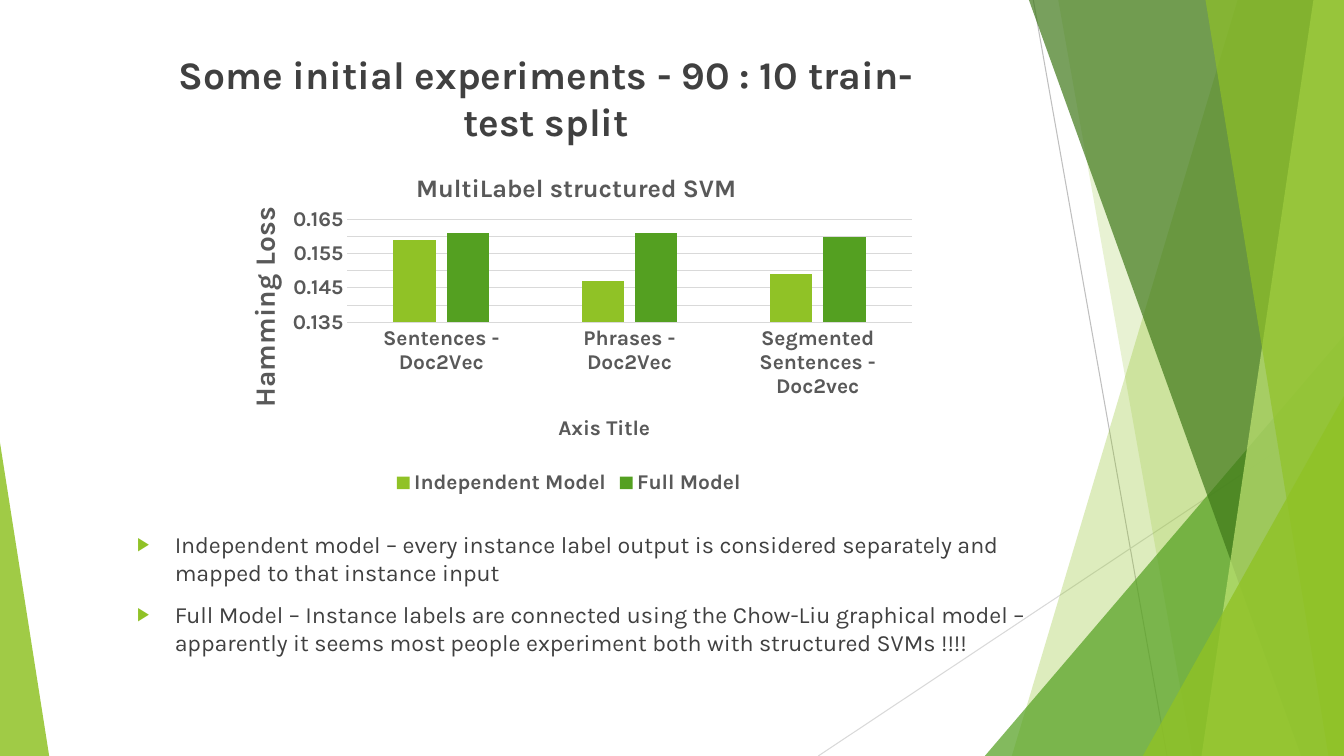
import dataclasses

import lxml.etree
import pptx
import pptx.chart.data
import pptx.dml.color
import pptx.enum.chart
import pptx.enum.shapes
import pptx.enum.text
import pptx.oxml
import pptx.oxml.ns
import pptx.util

Cm = pptx.util.Cm
Pt = pptx.util.Pt
qn = pptx.oxml.ns.qn


@dataclasses.dataclass(frozen=True)
class Theme:
    font: str = "Karla"
    text: str = "404040"
    chart_text: str = "595959"
    grid: str = "D9D9D9"
    ray: str = "BFBFBF"
    lime: str = "90C226"
    green: str = "54A021"
    forest: str = "3F7819"
    pale: str = "C0E474"
    title_size: float = 27.8
    body_size: float = 16.6
    chart_title_size: float = 18
    value_title_size: float = 20
    chart_size: float = 15


THEME = Theme()
WIDTH, HEIGHT = 33.87, 19.05  # slide size in centimetres

TITLE = "Some initial experiments - 90 : 10 train-test split"
POINTS = [
    "Independent model – every instance label output is considered separately "
    "and mapped to that instance input",
    "Full Model – Instance labels are connected using the Chow-Liu graphical model – "
    "apparently it seems most people experiment both with structured SVMs !!!!",
]
CATEGORIES = ["Sentences - Doc2Vec", "Phrases - Doc2Vec", "Segmented Sentences - Doc2vec"]
SERIES = [
    ("Independent Model", (0.159, 0.147, 0.149), THEME.lime),
    ("Full Model", (0.161, 0.161, 0.16), THEME.green),
]


# Formatting helpers
def rgb(color):
    return pptx.dml.color.RGBColor.from_string(color)


def apply_format(target, values):
    for name, value in values.items():
        setattr(target, name, value)


def format_font(font, size, color, bold):
    apply_format(font, {"name": THEME.font, "size": Pt(size), "bold": bold})
    font.color.rgb = rgb(color)


def place(shape, box):
    apply_format(shape, dict(zip(("left", "top", "width", "height"), map(Cm, box))))


def add_child(parent, tag, **attributes):
    child = lxml.etree.SubElement(parent, qn(tag))
    for name, value in attributes.items():
        child.set(name, str(value))
    return child


def paint(shape, color, opacity):
    shape.shadow.inherit = False
    shape.fill.solid()
    shape.fill.fore_color.rgb = rgb(color)
    shape.line.fill.background()
    color_element = shape.fill._xPr.find(".//" + qn("a:srgbClr"))
    add_child(color_element, "a:alpha", val=opacity * 1000)


# Background facets
def add_ray(slide, ends, color):
    ray = slide.shapes.add_connector(
        pptx.enum.shapes.MSO_CONNECTOR.STRAIGHT, *map(Cm, ends))
    ray.line.width = Pt(0.75)
    ray.line.color.rgb = rgb(color)
    add_child(ray._element.spPr, "a:effectLst")


def add_band(slide, top_x, bottom_x, color, opacity):
    """Fill from a slanted left edge to the right edge of the slide."""
    builder = slide.shapes.build_freeform(Cm(top_x), 0)
    corners = [(WIDTH, 0), (WIDTH, HEIGHT), (bottom_x, HEIGHT)]
    builder.add_line_segments([(Cm(x), Cm(y)) for x, y in corners])
    paint(builder.convert_to_shape(), color, opacity)


def add_corner(slide, left, right, top, apex, color, opacity):
    """Triangle standing on the bottom edge of the slide."""
    corner = slide.shapes.add_shape(
        pptx.enum.shapes.MSO_SHAPE.ISOSCELES_TRIANGLE,
        *map(Cm, (left, top, right - left, HEIGHT - top)))
    corner.adjustments[0] = apex
    paint(corner, color, opacity)


def add_background(slide):
    add_ray(slide, (26.04, 0, 29.41, HEIGHT), THEME.ray)
    add_ray(slide, (WIDTH, 10.24, 20.62, HEIGHT), THEME.grid)
    add_band(slide, 31.19, 25.5, THEME.lime, 30)
    add_band(slide, 26.67, 30.05, THEME.lime, 20)
    add_corner(slide, 24.82, WIDTH, 8.46, 1, THEME.green, 72)
    add_band(slide, 25.93, 32.79, THEME.forest, 70)
    add_band(slide, 33.1, 30.28, THEME.pale, 70)
    add_band(slide, 30.38, 33.48, THEME.lime, 65)
    add_corner(slide, 28.8, WIDTH, 9.98, 1, THEME.lime, 80)
    add_corner(slide, 0, 1.24, 11.15, 0, THEME.lime, 85)


# Chart
def set_layout(element, index, **fractions):
    for old in element.findall(qn("c:layout")):
        element.remove(old)
    layout = lxml.etree.Element(qn("c:layout"))
    manual = add_child(layout, "c:manualLayout")
    if "w" in fractions:
        add_child(manual, "c:layoutTarget", val="inner")
    for name in ("x", "y"):
        add_child(manual, f"c:{name}Mode", val="edge")
    for name, value in fractions.items():
        add_child(manual, f"c:{name}", val=value)
    element.insert(index, layout)


def write_chart_title(title, text, size, x, y):
    title.text_frame.text = text
    format_font(title.text_frame.paragraphs[0].runs[0].font, size, THEME.chart_text, True)
    set_layout(title._element, 1, x=x, y=y)


def add_loss_chart(slide, box):
    data = pptx.chart.data.CategoryChartData()
    data.categories = CATEGORIES
    for name, values, _ in SERIES:
        data.add_series(name, values)
    chart = slide.shapes.add_chart(
        pptx.enum.chart.XL_CHART_TYPE.COLUMN_CLUSTERED, *map(Cm, box), data).chart
    format_font(chart.font, THEME.chart_size, THEME.chart_text, True)
    chart.has_title = True
    write_chart_title(chart.chart_title, "MultiLabel structured SVM",
                      THEME.chart_title_size, 0.28, 0.06)

    # Columns
    plot = chart.plots[0]
    apply_format(plot, {"gap_width": 219, "overlap": -27, "vary_by_categories": False})
    for series, (_, _, color) in zip(plot.series, SERIES):
        series.format.fill.solid()
        series.format.fill.fore_color.rgb = rgb(color)
    plot_area = chart._chartSpace.find(".//" + qn("c:plotArea"))
    set_layout(plot_area, 0, x=0.19, y=0.21, w=0.79, h=0.29)

    # Axes
    no_tick = pptx.enum.chart.XL_TICK_MARK.NONE
    for axis in (chart.category_axis, chart.value_axis):
        apply_format(axis, {"major_tick_mark": no_tick, "minor_tick_mark": no_tick})
        format_font(axis.tick_labels.font, THEME.chart_size, THEME.chart_text, True)
    value_axis = chart.value_axis
    apply_format(value_axis, {"minimum_scale": 0.135, "maximum_scale": 0.165,
                              "major_unit": 0.005, "has_major_gridlines": True})
    value_axis.format.line.fill.background()
    for line in (chart.category_axis.format.line, value_axis.major_gridlines.format.line):
        line.width = Pt(0.75)
        line.color.rgb = rgb(THEME.grid)
    write_chart_title(chart.category_axis.axis_title, "Axis Title",
                      THEME.chart_size, 0.48, 0.75)
    write_chart_title(value_axis.axis_title, "Hamming Loss",
                      THEME.value_title_size, 0.04, 0.16)
    body = value_axis.axis_title._element.find(".//" + qn("a:bodyPr"))
    apply_rotation = {"rot": "-5400000", "vert": "horz"}
    for name, value in apply_rotation.items():
        body.set(name, value)

    # Legend
    chart.has_legend = True
    apply_format(chart.legend, {"position": pptx.enum.chart.XL_LEGEND_POSITION.BOTTOM,
                                "include_in_layout": False})
    format_font(chart.legend.font, THEME.chart_size, THEME.chart_text, True)


# Title and bullet list
def fill_placeholder(shape, box, lines, size, bold, align, inset):
    place(shape, box)
    shape._element.getparent().append(shape._element)  # bring in front of the facets
    frame = shape.text_frame
    frame.text = "\n".join(lines)
    apply_format(frame, {"word_wrap": True, "margin_top": Cm(inset),
                         "auto_size": pptx.enum.text.MSO_AUTO_SIZE.NONE,
                         "vertical_anchor": pptx.enum.text.MSO_ANCHOR.TOP})
    for paragraph in frame.paragraphs:
        paragraph.alignment = align
        format_font(paragraph.runs[0].font, size, THEME.text, bold)
    return frame.paragraphs


def add_title(slide, box):
    fill_placeholder(slide.shapes.title, box, [TITLE], THEME.title_size, True,
                     pptx.enum.text.PP_ALIGN.CENTER, 0.2)


def add_points(slide, box):
    paragraphs = fill_placeholder(slide.placeholders[1], box, POINTS, THEME.body_size,
                                  False, pptx.enum.text.PP_ALIGN.LEFT, 0.13)
    for paragraph in paragraphs:
        paragraph.space_before = Pt(10)
        properties = paragraph._p.get_or_add_pPr()
        properties.set("marL", str(Cm(0.95)))
        properties.set("indent", str(-Cm(0.95)))
        add_child(add_child(properties, "a:buClr"), "a:srgbClr", val=THEME.lime)
        add_child(properties, "a:buSzPct", val=80000)
        add_child(properties, "a:buChar", char="▶")


def main():
    presentation = pptx.Presentation()
    apply_format(presentation, {"slide_width": Cm(WIDTH), "slide_height": Cm(HEIGHT)})
    slide = presentation.slides.add_slide(presentation.slide_layouts[1])
    add_background(slide)
    add_loss_chart(slide, (5.33, 3.66, 18.01, 8.92))
    add_title(slide, (4.19, 1.07, 19.15, 2.18))
    add_points(slide, (3.2, 13.23, 23.88, 2.97))
    presentation.save("out.pptx")


if __name__ == "__main__":
    main()
